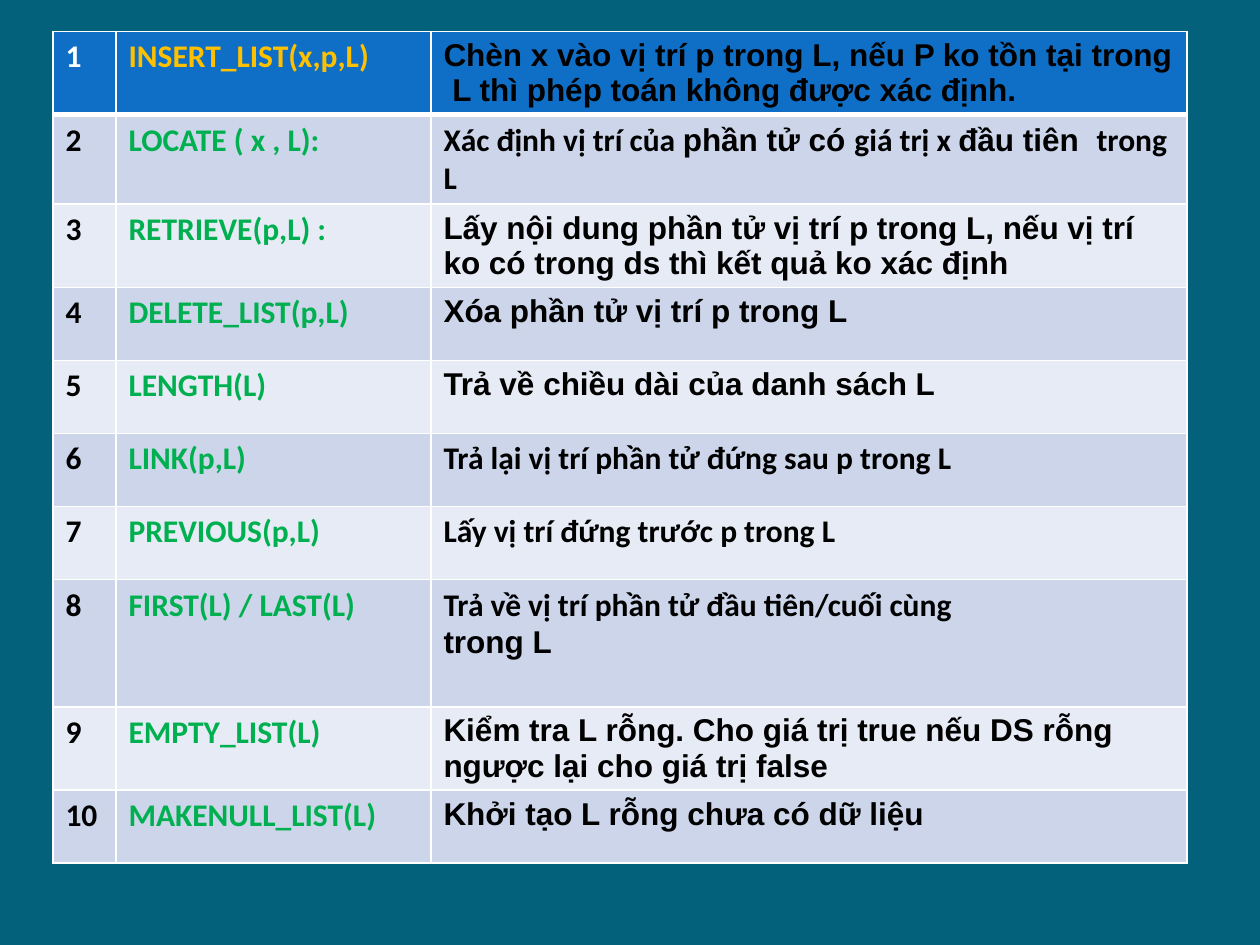
"""Build a slide with a table of the basic list operations."""
from lxml.etree import SubElement
from pptx import Presentation
from pptx.dml.color import RGBColor
from pptx.oxml.ns import qn
from pptx.util import Inches, Pt

TEAL = RGBColor(0x04, 0x61, 0x7B)
BLUE = RGBColor(0x0F, 0x6F, 0xC6)
BAND_DARK = RGBColor(0xCC, 0xD5, 0xEA)
BAND_LIGHT = RGBColor(0xE7, 0xEB, 0xF5)
WHITE = RGBColor(0xFF, 0xFF, 0xFF)
BLACK = RGBColor(0, 0, 0)
AMBER = RGBColor(0xFF, 0xC0, 0)
GREEN = RGBColor(0, 0xB0, 0x50)
SANS, BODY = "Arial", "Calibri"

OPERATIONS = [
    ("INSERT_LIST(x,p,L)", [[("Chèn x vào vị trí p trong L, nếu P ko tồn tại trong  L thì phép toán không được xác định.", SANS)]]),
    ("LOCATE ( x , L):", [[("Xác định vị trí của ", BODY), ("phần tử có ", SANS), ("giá trị x ", BODY),
                           ("đầu tiên  ", SANS), ("trong L", BODY)]]),
    ("RETRIEVE(p,L) :", [[("Lấy nội dung phần tử vị trí p trong L, nếu vị trí ko có trong ds thì kết quả ko xác định", SANS)]]),
    ("DELETE_LIST(p,L)", [[("Xóa phần tử vị trí p trong L", SANS)]]),
    ("LENGTH(L)", [[("Trả về chiều dài của danh sách L", SANS)]]),
    ("LINK(p,L)", [[("Trả lại vị trí phần tử đứng sau p trong L", BODY)]]),
    ("PREVIOUS(p,L)", [[("Lấy vị trí đứng trước p trong L", BODY)]]),
    ("FIRST(L) / LAST(L)", [[("Trả về vị trí phần tử đầu tiên/cuối cùng", BODY)], [("trong L", SANS)]]),
    ("EMPTY_LIST(L)", [[("Kiểm tra L rỗng. Cho giá trị true nếu DS rỗng ngược lại cho giá trị false", SANS)]]),
    ("MAKENULL_LIST(L)", [[("Khởi tạo L rỗng chưa có dữ liệu", SANS)]]),
]
COLUMNS = (0.5, 2.5, 6)
ROW, TALL_ROW, TALL_INDEX = 0.58, 1.01, 7
LEFT, TOP = 0.42, 0.25


def write(tf, paragraphs, *, color, size=18, bold=True):
    for i, runs in enumerate(paragraphs):
        p = tf.paragraphs[0] if i == 0 else tf.add_paragraph()
        for text, font in runs:
            r = p.add_run()
            r.text = text
            r.font.name, r.font.size, r.font.bold = font, Pt(size), bold
            r.font.color.rgb = color


def style_cell(cell, fill, top=1, bottom=1):
    tcPr = cell._tc.get_or_add_tcPr()
    for side, width in zip("LRTB", (1, 1, top, bottom)):
        ln = SubElement(tcPr, qn(f"a:ln{side}"), w=str(Pt(width)))
        SubElement(SubElement(ln, qn("a:solidFill")), qn("a:srgbClr"), val=str(WHITE))
    cell.fill.solid()
    cell.fill.fore_color.rgb = fill


prs = Presentation()
prs.slide_width, prs.slide_height = Inches(10), Inches(7.5)
s = prs.slides.add_slide(prs.slide_layouts[6])
s.background.fill.solid()
s.background.fill.fore_color.rgb = TEAL

heights = [TALL_ROW if i == TALL_INDEX else ROW for i in range(len(OPERATIONS))]
table = s.shapes.add_table(len(OPERATIONS), len(COLUMNS), Inches(LEFT), Inches(TOP),
                           Inches(sum(COLUMNS)), Inches(sum(heights))).table
for column, width in zip(table.columns, COLUMNS):
    column.width = Inches(width)

for i, (name, description) in enumerate(OPERATIONS):
    table.rows[i].height = Inches(heights[i])
    head = i == 0
    fill = BLUE if head else (BAND_LIGHT, BAND_DARK)[i % 2]
    contents = (
        ([[(str(i + 1), BODY)]], WHITE if head else BLACK),
        ([[(name, BODY)]], AMBER if head else GREEN),
        (description, BLACK),
    )
    for j, (paragraphs, color) in enumerate(contents):
        cell = table.cell(i, j)
        style_cell(cell, fill, top=3 if i == 1 else 1, bottom=3 if head else 1)
        write(cell.text_frame, paragraphs, color=color)

prs.save("out.pptx")
